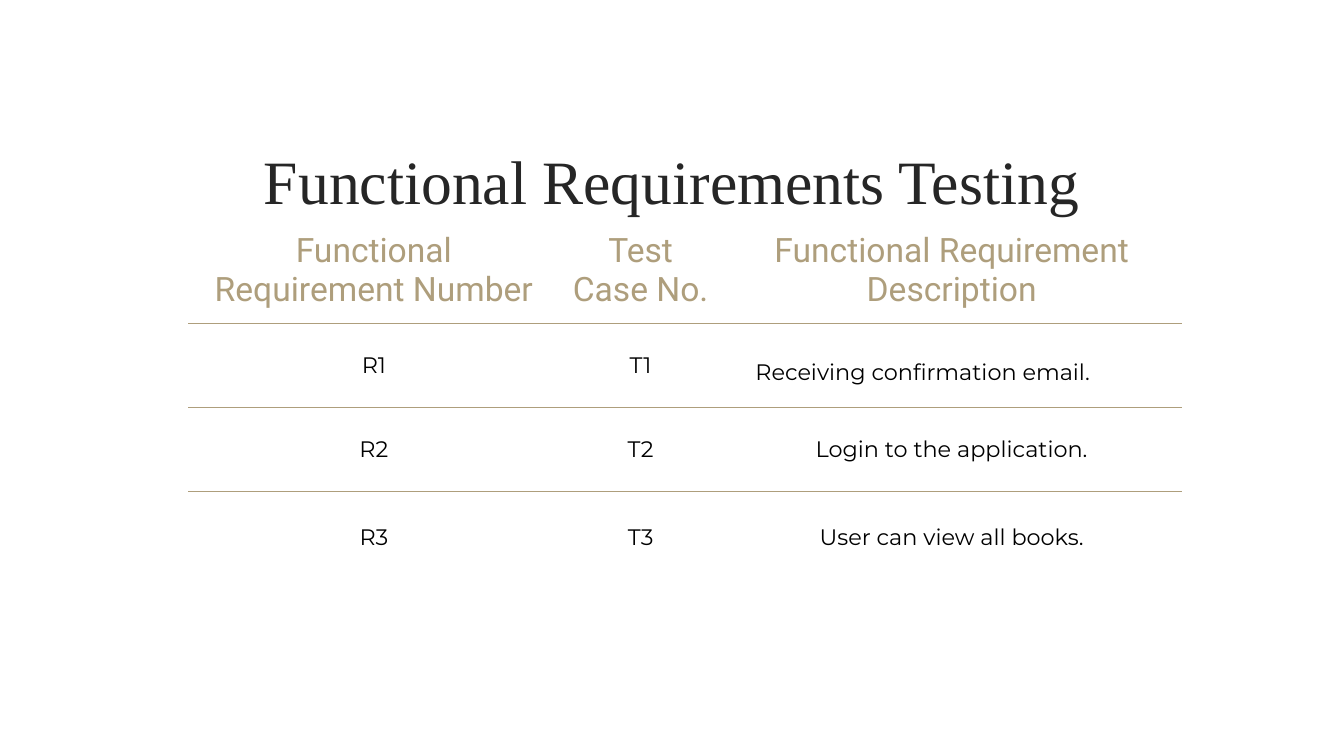
from lxml import etree
from pptx import Presentation
from pptx.dml.color import RGBColor
from pptx.enum.text import MSO_ANCHOR, PP_ALIGN
from pptx.oxml.ns import qn
from pptx.util import Inches, Pt

MID, TOP = MSO_ANCHOR.MIDDLE, MSO_ANCHOR.TOP
CENTER = PP_ALIGN.CENTER
PLAIN = "{2D5ABB26-0587-4C30-8999-92F81FD0307C}"
HUES = {"title": "262626", "gold": "AE9E7C", "body": "000000"}

deck = Presentation()
deck.slide_width = Inches(10)
deck.slide_height = deck.slide_width * 9 // 16
unit = deck.slide_width / 100


def span(count):
    return round(count * unit)


def put(frame, words, size, font, hue, space=None):
    para = frame.paragraphs[0]
    para.alignment = CENTER
    para.line_spacing = space
    run = para.add_run()
    run.text = words
    run.font.size = Pt(size)
    run.font.name = font
    run.font.bold = False
    run.font.color.rgb = RGBColor.from_string(HUES[hue])


slide = deck.slides.add_slide(deck.slide_layouts[5])
title = slide.shapes.title
title.left, title.top = span(10.64), span(8.05)
title.width, title.height = span(78.7), span(10.7)
frame = title.text_frame
frame.word_wrap = True
frame.vertical_anchor = MID
frame.margin_left = frame.margin_right = span(1)
frame.margin_top = frame.margin_bottom = span(1)
put(frame, "Functional Requirements Testing", size=33, font="Times New Roman", hue="title")

rows = [
    ("Functional Requirement Number", "Test Case No.", "Functional Requirement Description"),
    ("R1", "T1", "Receiving confirmation email."),
    ("R2", "T2", "Login to the application."),
    ("R3", "T3", "User can view all books."),
]
wides = [27.6, 12.1, 34.2]
highs = [7.8, 6.25, 6.25, 6.8]

grid = slide.shapes.add_table(
    len(rows), len(wides), span(14.02), span(16.22), span(sum(wides)), span(sum(highs))
).table
grid.first_row = grid.horz_banding = False
grid._tbl.tblPr.find(qn("a:tableStyleId")).text = PLAIN
for col, wide in zip(grid.columns, wides):
    col.width = span(wide)
for row, high in zip(grid.rows, highs):
    row.height = span(high)

last = len(rows) - 1
for r, row in enumerate(rows):
    look = dict(size=12, font="Montserrat", hue="body")
    if r == 0:
        look = dict(size=18, font="Roboto", hue="gold")
    for c, words in enumerate(row):
        cell = grid.cell(r, c)
        cell.fill.background()
        cell.vertical_anchor = MID if r else TOP
        cell.margin_left = cell.margin_right = span(1)
        cell.margin_top = cell.margin_bottom = span(1)
        loose = (r, c) == (1, 2)
        if loose:
            cell.margin_left, cell.margin_right = span(0.7), span(5)
            cell.margin_top = cell.margin_bottom = 0
        put(cell.text_frame, words, space=1.5 if loose else None, **look)
        edges = [tag for tag, on in (("a:lnT", r > 0), ("a:lnB", r < last)) if on]
        props = cell._tc.get_or_add_tcPr()
        for i, tag in enumerate(edges):
            line = etree.Element(qn(tag), w=str(Pt(0.75)))
            fill = etree.SubElement(line, qn("a:solidFill"))
            etree.SubElement(fill, qn("a:srgbClr"), val=HUES["gold"])
            props.insert(i, line)

deck.save("out.pptx")
